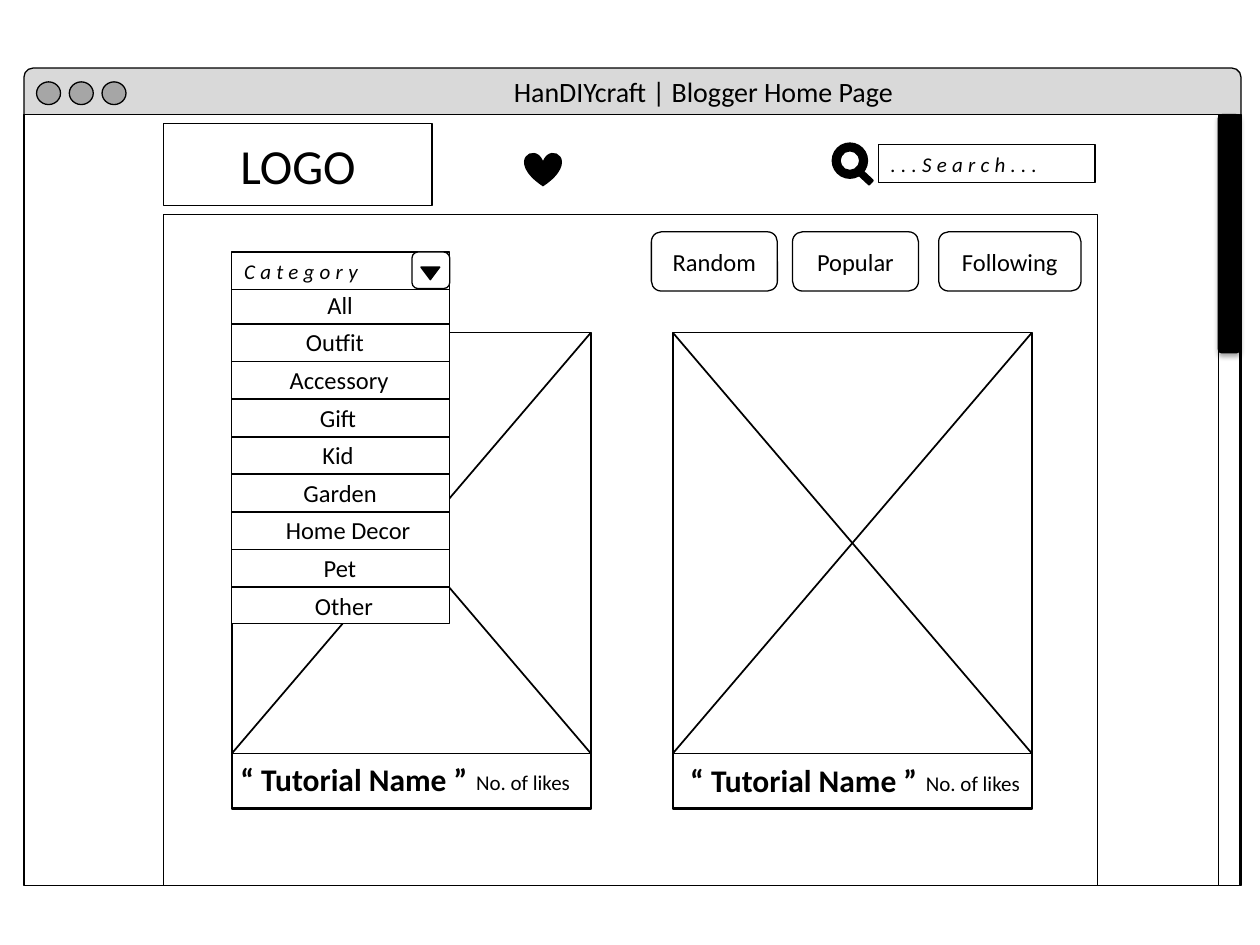
from lxml import etree
from pptx import Presentation
from pptx.dml.color import RGBColor
from pptx.enum.shapes import MSO_CONNECTOR, MSO_SHAPE
from pptx.enum.text import MSO_ANCHOR, MSO_AUTO_SIZE, PP_ALIGN
from pptx.oxml import parse_xml
from pptx.oxml.ns import nsdecls, qn
from pptx.util import Inches, Pt

RECT = MSO_SHAPE.RECTANGLE
ROUNDED = MSO_SHAPE.ROUNDED_RECTANGLE
OVAL = MSO_SHAPE.OVAL
CENTER, LEFT = PP_ALIGN.CENTER, PP_ALIGN.LEFT
TOP, MIDDLE = MSO_ANCHOR.TOP, MSO_ANCHOR.MIDDLE

BLACK = RGBColor(0x00, 0x00, 0x00)
WHITE = RGBColor(0xFF, 0xFF, 0xFF)
BAR_GRAY = RGBColor(0xD9, 0xD9, 0xD9)
BUTTON_GRAY = RGBColor(0xA6, 0xA6, 0xA6)
FONT = "Calibri"

PAGE_TITLE = "HanDIYcraft | Blogger Home Page"
FILTERS = [("Random", 5.17, 1), ("Popular", 6.29, 1), ("Following", 7.45, 1.13)]
# label, left, width
CATEGORIES = [
    ("All", 2.5, 0.75),
    ("Outfit", 2.33, 0.83),
    ("Accessory", 2.2, 1.15),
    ("Gift", 2.44, 0.52),
    ("Kid", 2.46, 0.52),
    ("Garden", 2.31, 0.86),
    ("Home Decor", 2.17, 1.2),
    ("Pet", 2.47, 0.75),
    ("Other", 2.4, 0.75),
]
# card left, name left, likes left, caption top
CARDS = [(1.84, 1.81, 3.68, 5.98), (5.34, 5.38, 7.25, 5.99)]
CARD_TOP, CARD_W, CARD_H = 2.64, 2.85, 3.78
CAPTION_TOP, CAPTION_H = 5.98, 0.43
MENU_LEFT, MENU_TOP, MENU_W, MENU_H = 1.84, 2.3, 1.73, 2.65
FIRST_DIVIDER, LAST_DIVIDER = 2.57, 4.66
FIRST_LABEL = 2.25

prs = Presentation()
prs.slide_width, prs.slide_height = Inches(10), Inches(7.5)
slide = prs.slides.add_slide(prs.slide_layouts[6])


def write(shape, text, size, align=LEFT, anchor=TOP, bold=None, italic=None, spacing=0):
    frame = shape.text_frame
    frame.vertical_anchor = anchor
    paragraph = frame.paragraphs[0]
    paragraph.alignment = align
    run = paragraph.add_run()
    run.text = text
    if spacing:
        run._r.get_or_add_rPr().set("spc", str(spacing * 100))
    font = paragraph.font
    font.name, font.size, font.bold, font.italic = FONT, Pt(size), bold, italic
    font.color.rgb = BLACK


def add_shape(kind, left, top, width, height, fill=WHITE, line=True, rotation=0):
    shape = slide.shapes.add_shape(
        kind, Inches(left), Inches(top), Inches(width), Inches(height))
    shape.shadow.inherit = False
    shape.rotation = rotation
    if fill is None:
        shape.fill.background()
    else:
        shape.fill.solid()
        shape.fill.fore_color.rgb = fill
    if line:
        shape.line.color.rgb = BLACK
        shape.line.width = Pt(0.75)
    else:
        shape.line.fill.background()
    return shape


def add_label(text, left, top, width, height, size, wrap=True, bold=None):
    box = slide.shapes.add_textbox(
        Inches(left), Inches(top), Inches(width), Inches(height))
    box.text_frame.word_wrap = wrap
    box.text_frame.auto_size = MSO_AUTO_SIZE.SHAPE_TO_FIT_TEXT
    write(box, text, size, bold=bold)


def add_line(x1, y1, x2, y2):
    line = slide.shapes.add_connector(
        MSO_CONNECTOR.STRAIGHT, Inches(x1), Inches(y1), Inches(x2), Inches(y2))
    line.line.color.rgb = BLACK
    line.line.width = Pt(1)
    etree.SubElement(line._element.spPr, qn("a:effectLst"))


def add_drop_shadow(shape):
    properties = shape._element.spPr
    properties.remove(properties.find(qn("a:effectLst")))
    properties.append(parse_xml(
        f'<a:effectLst {nsdecls("a")}>'
        f'<a:outerShdw blurRad="{Pt(3.1)}" dist="{Pt(1.8)}" dir="5400000" rotWithShape="0">'
        '<a:srgbClr val="000000"><a:alpha val="35000"/></a:srgbClr>'
        '</a:outerShdw></a:effectLst>'))


# Browser window
add_shape(ROUNDED, 0.19, 0.54, 9.66, 0.44, BAR_GRAY)
add_shape(RECT, 0.19, 0.91, 9.66, 6.12)
for i in range(3):
    add_shape(OVAL, 0.29 + 0.26 * i, 0.65, 0.19, 0.18, BUTTON_GRAY)
add_label(PAGE_TITLE, 3.98, 0.54, 3.27, 0.37, 16)
add_shape(RECT, 1.3, 1.7, 7.41, 5.33)
add_shape(RECT, 9.67, 0.91, 0.17, 6.12)
add_drop_shadow(add_shape(ROUNDED, 9.67, 0.91, 0.17, 1.89, BLACK))

# Page header
write(add_shape(RECT, 1.3, 0.98, 2.13, 0.65), "LOGO", 28, CENTER, MIDDLE)
add_shape(MSO_SHAPE.HEART, 4.16, 1.21, 0.3, 0.27, BLACK, line=False)
search_field = add_shape(RECT, 6.97, 1.15, 1.72, 0.3, fill=None)
write(search_field, "...Search...", 12, italic=True, spacing=3)
add_shape(MSO_SHAPE.DONUT, 6.6, 1.13, 0.29, 0.29, BLACK, line=False)
add_shape(ROUNDED, 6.78, 1.37, 0.16, 0.06, BLACK, line=False, rotation=43.1)

# Filter buttons
for name, left, width in FILTERS:
    button = add_shape(ROUNDED, left, 1.84, width, 0.47, fill=None)
    write(button, name, 14, CENTER, MIDDLE)

# Tutorial cards
for left, name_left, likes_left, text_top in CARDS:
    right = left + CARD_W
    add_shape(RECT, left, CARD_TOP, CARD_W, CARD_H)
    add_shape(RECT, left, CAPTION_TOP, CARD_W, CAPTION_H)
    add_line(left, CARD_TOP, right, CAPTION_TOP)
    add_line(left, CAPTION_TOP, right, CARD_TOP)
    add_label("“ Tutorial Name ”", name_left, text_top, 2.04, 0.4, 18, wrap=False, bold=True)
    add_label("No. of likes", likes_left, text_top + 0.08, 0.96, 0.3, 12, wrap=False)

# Category menu, open over the first card
category_field = add_shape(RECT, MENU_LEFT, 2, MENU_W, 0.3)
write(category_field, "Category", 12, anchor=MIDDLE, italic=True, spacing=3)
add_shape(ROUNDED, 3.27, 2, 0.3, 0.29)
add_shape(MSO_SHAPE.ISOSCELES_TRIANGLE, 3.34, 2.12, 0.15, 0.1, BLACK, rotation=180)
add_shape(RECT, MENU_LEFT, MENU_TOP, MENU_W, MENU_H)
divider_count = len(CATEGORIES) - 1
row_step = (LAST_DIVIDER - FIRST_DIVIDER) / (divider_count - 1)
for i in range(divider_count):
    y = FIRST_DIVIDER + i * row_step
    add_line(MENU_LEFT + MENU_W, y, MENU_LEFT, y)
for i, (name, left, width) in enumerate(CATEGORIES):
    add_label(name, left, FIRST_LABEL + i * row_step, width, 0.34, 14)

prs.save("out.pptx")
